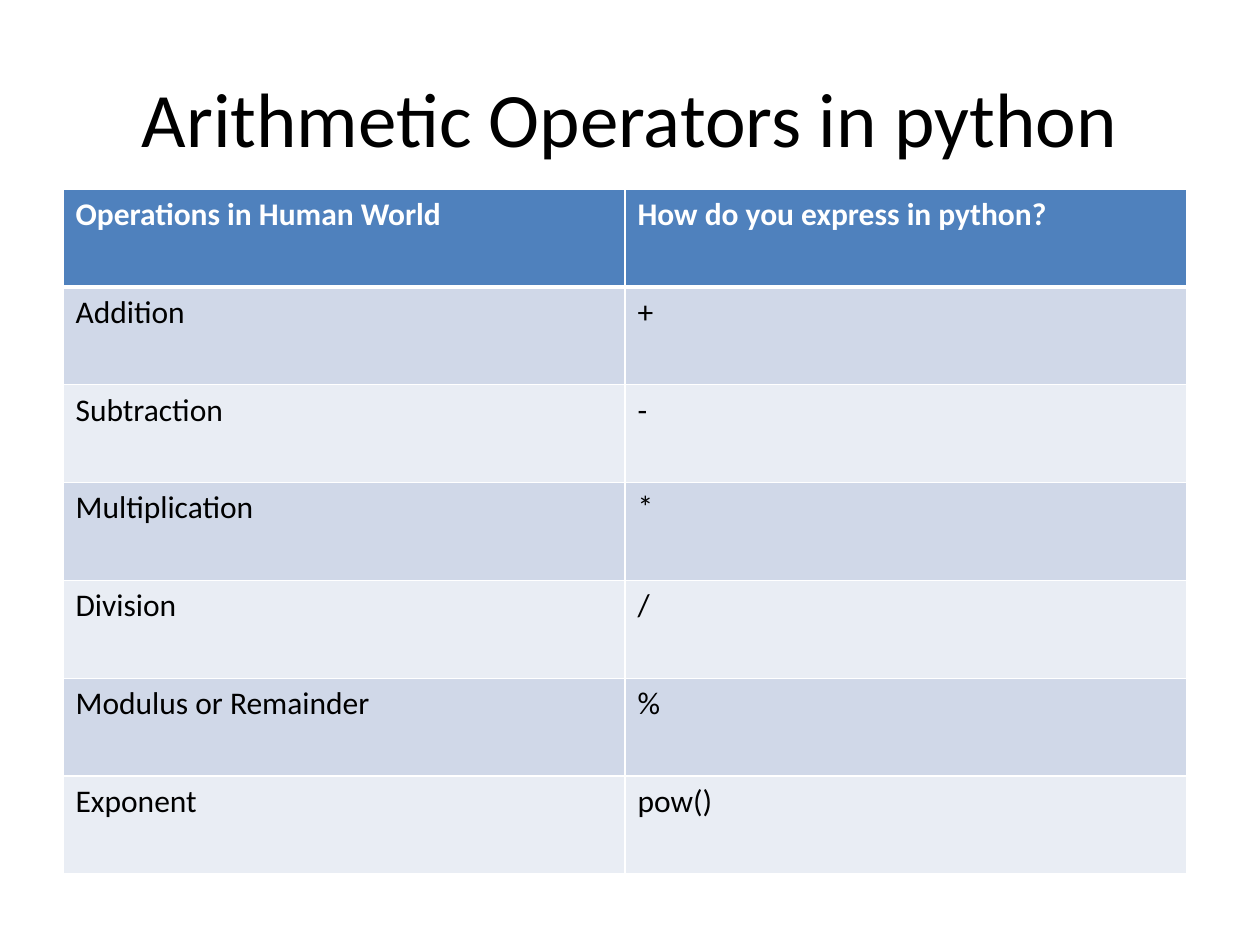
from dataclasses import dataclass

from lxml import etree
from pptx import Presentation
from pptx.dml.color import RGBColor
from pptx.enum.text import MSO_ANCHOR, PP_ALIGN
from pptx.oxml.ns import qn
from pptx.table import _Cell
from pptx.util import Inches, Pt

MIDDLE = MSO_ANCHOR.MIDDLE
CENTER = PP_ALIGN.CENTER
FONT = "Calibri"
COLORS = {
    "header": "4F81BD",
    "odd": "D0D8E8",
    "even": "E9EDF4",
    "white": "FFFFFF",
    "black": "000000",
}


@dataclass(frozen=True)
class Operator:
    operation: str
    expression: str


OPERATORS = [
    Operator("Operations in Human World", "How do you express in python?"),
    Operator("Addition", "+"),
    Operator("Subtraction", "-"),
    Operator("Multiplication", "*"),
    Operator("Division", "/ "),
    Operator("Modulus or Remainder", "%"),
    Operator("Exponent", "pow()"),
]


def rgb(name: str) -> RGBColor:
    return RGBColor.from_string(COLORS[name])


def draw_borders(cell: _Cell, top: float, bottom: float) -> None:
    properties = cell._tc.get_or_add_tcPr()
    for side, width in (("L", 1), ("R", 1), ("T", top), ("B", bottom)):
        line = etree.SubElement(properties, qn(f"a:ln{side}"), w=str(Pt(width)))
        fill = etree.SubElement(line, qn("a:solidFill"))
        etree.SubElement(fill, qn("a:srgbClr"), val=COLORS["white"])


def fill_cell(cell: _Cell, text: str, row: int) -> None:
    is_header = row == 0
    draw_borders(cell, top=3 if row == 1 else 1, bottom=3 if is_header else 1)
    cell.fill.solid()
    cell.fill.fore_color.rgb = rgb("header" if is_header else "odd" if row % 2 else "even")
    cell.text = text
    font = cell.text_frame.paragraphs[0].font
    font.name = FONT
    font.size = Pt(18)
    font.bold = is_header
    font.color.rgb = rgb("white" if is_header else "black")


presentation = Presentation()
presentation.slide_width = Inches(10)
presentation.slide_height = Inches(7.5)
slide = presentation.slides.add_slide(presentation.slide_layouts[5])

title = slide.shapes.title
title.left, title.top = Inches(0.5), Inches(0.3)
title.width, title.height = Inches(9), Inches(1.25)
title.text_frame.text = "Arithmetic Operators in python"
title.text_frame.vertical_anchor = MIDDLE
heading = title.text_frame.paragraphs[0]
heading.alignment = CENTER
heading.font.name = FONT
heading.font.size = Pt(44)
heading.font.color.rgb = rgb("black")

operators = slide.shapes.add_table(
    len(OPERATORS), 2, Inches(0.5), Inches(1.5), Inches(8.92), Inches(5.44)
).table
for row, operator in enumerate(OPERATORS):
    for column, text in enumerate((operator.operation, operator.expression)):
        fill_cell(operators.cell(row, column), text, row)

presentation.save("out.pptx")
